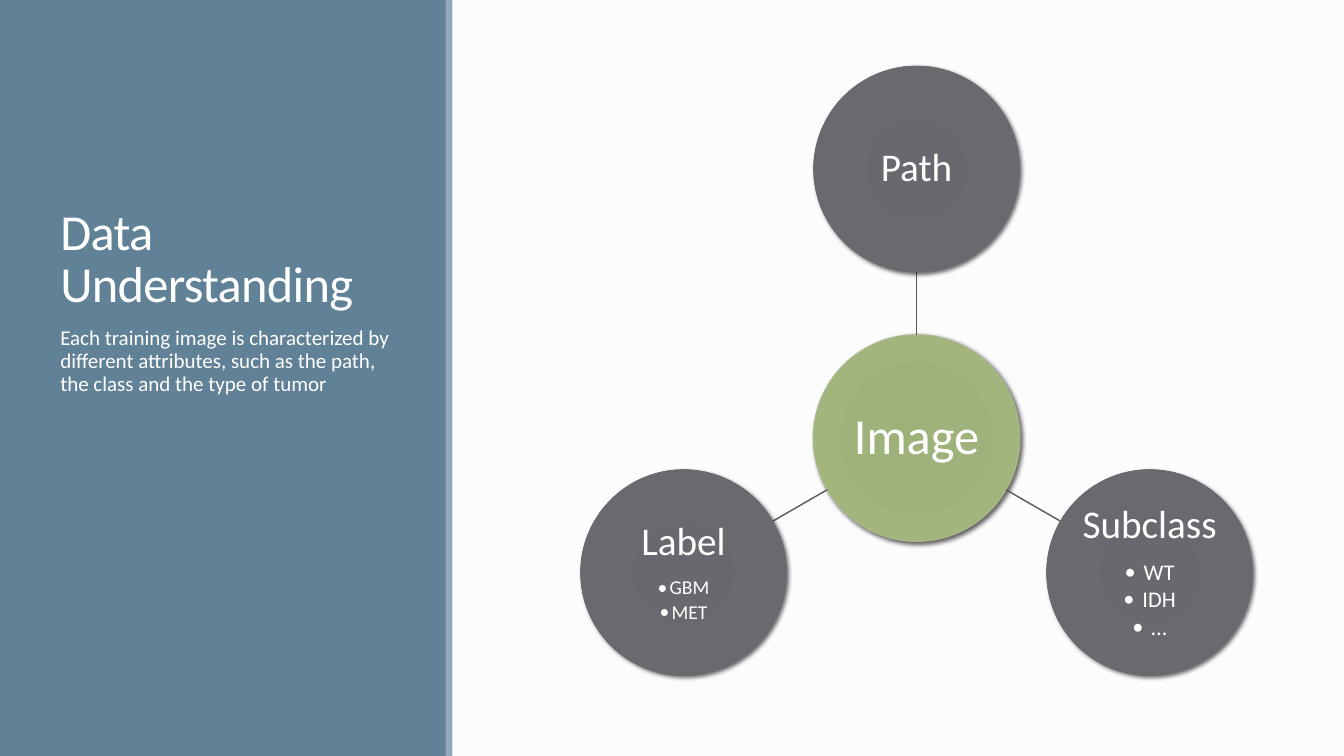
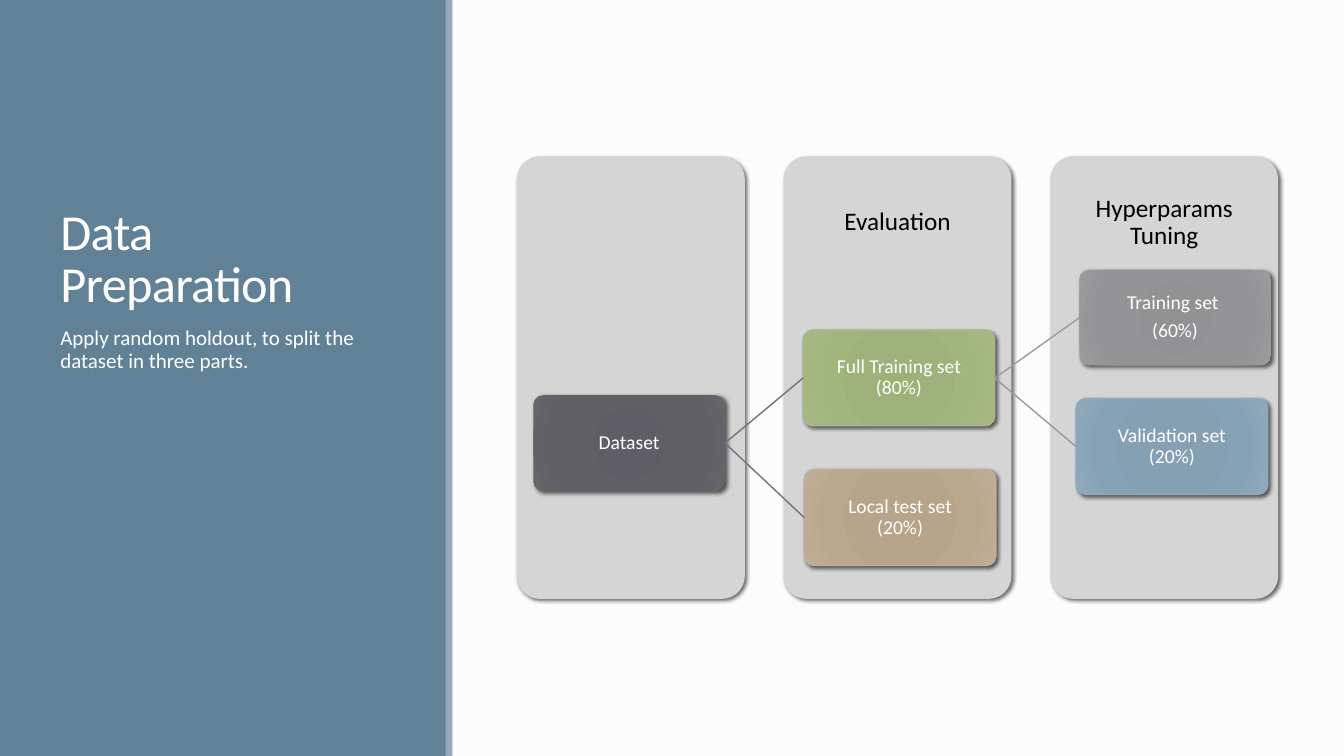
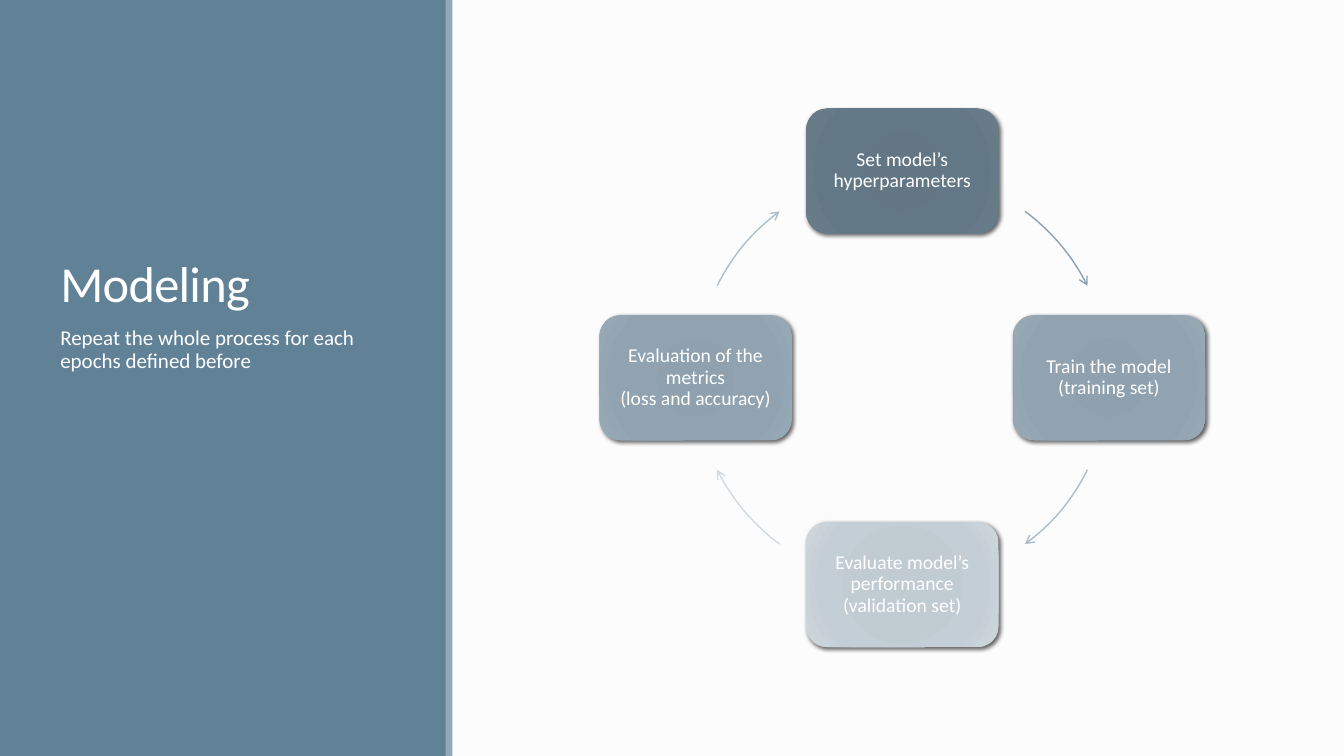
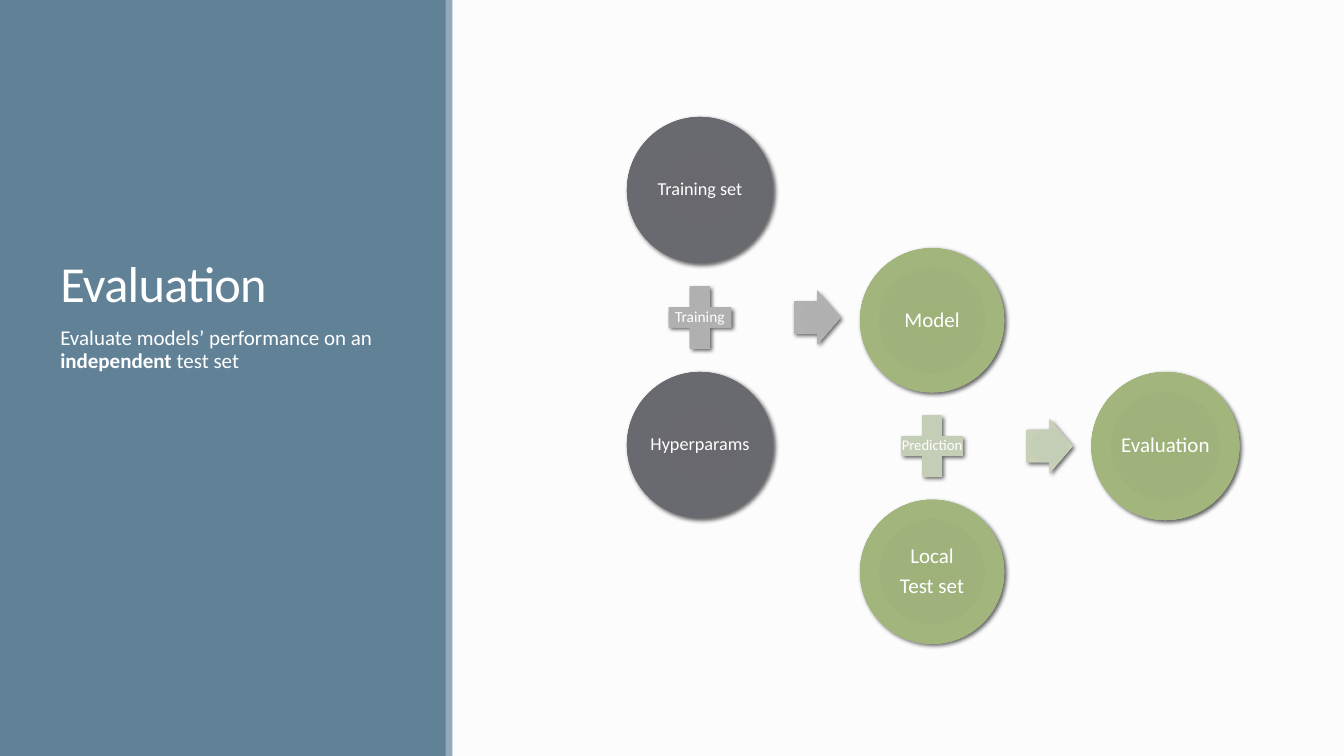
"""Build four slides on the steps of an image classification project."""
import math
import copy
import pptx
import pptx.util
import pptx.dml.color
import pptx.enum.shapes
import pptx.enum.text
import pptx.oxml.ns
from lxml import etree

INTRO = [
    ("Data Understanding", "Each training image is characterized by different attributes, "
                           "such as the path, the class and the type of tumor"),
    ("Data Preparation", "Apply random holdout, to split the dataset in three parts."),
    ("Modeling", "Repeat the whole process for each epochs defined before"),
    ("Evaluation", "Evaluate models’ performance on an *independent* test set"),
]
SPOKES = [
    ("Path", [], 0, 0),
    ("Subclass", ["WT", "IDH", "…"], 16, 0.48),
    ("Label", ["GBM", "MET"], 14, 0.3),
]
PANELS = ["", "Evaluation", "Hyperparams Tuning"]
BOXES = {
    "data": (["Dataset"], 13.44, 9.96, "coal", None),
    "full": (["Full Training set\n(80%)"], 20.24, 8.32, "green", "green"),
    "test": (["Local test set\n(20%)"], 20.27, 11.84, "sand", "sand"),
    "train": (["Training set ", "(60%)"], 27.2, 6.8, "grey", None),
    "valid": (["Validation set\n(20%)"], 27.12, 10.05, "blue", "blue"),
}
LINKS = [("data", "full", "dark"), ("data", "test", "dark"),
         ("full", "train", "mid"), ("full", "valid", "mid")]
CYCLE = [
    ("Set model’s hyperparameters", "deep", "arc1"),
    ("Train the model\n(training set)", "steel", "arc2"),
    ("Evaluate model’s performance\n(validation set)", "pale", "arc3"),
    ("Evaluation of the metrics\n(loss and accuracy)", "steel", "arc2"),
]
SUMS = [
    (17.64, 8, 3.68, ["Training set"], "Training", ["Hyperparams"], 13, 11, "slate", "ash"),
    (23.49, 11.24, 3.63, ["Model"], "Prediction", ["Local", "Test set"], 15, 10.5,
     "green", "mint"),
]
RESULT = ("Evaluation", 29.37, 11.24, 3.73)


class Theme:
    """Colours, type sizes and font of the deck."""
    font = "Calibri"
    title, body, hub, spoke, head, label, result = 36, 15, 36, 28, 18, 14, 15
    flat = {"page": "FCFCFC", "side": "618197", "strip": "92A9B9", "panel": "D5D5D6",
            "white": "FFFFFF", "black": "000000"}
    line = {"spoke": "59595D", "dark": "727277", "mid": "9B9B9E", "green": "A7B789",
            "sand": "BEAE98", "blue": "92A9B9", "arc1": "8BA1B1", "arc2": "AFBDC8",
            "arc3": "D2DAE0"}
    stops = (0, 34, 70, 100)
    blend = {
        "green": ("9EB179", "9FB27C", "A2B57C", "A8B987"),
        "slate": ("67676D", "68686E", "696970", "6F6F74"),
        "coal": ("5D5D63", "5E5E64", "606065", "65656A"),
        "blue": ("839EB2", "85A0B3", "86A2B6", "90A9BB"),
        "grey": ("909093", "929295", "949497", "9B9B9E"),
        "sand": ("B6A388", "B7A48B", "BBA78C", "C0AE96"),
        "deep": ("617584", "627684", "637887", "6B7D8A"),
        "steel": ("8D9FAC", "8FA1AE", "91A3B1", "9AABB7"),
        "pale": ("BFC9D1", "C1CBD2", "C4CED6", "CED7DE"),
        "mint": ("C3CCB4", "C4CDB6", "C8D1B8", "D0D9C3"),
        "ash": ("AEAEB0", "B0B0B1", "B2B2B4", "BBBBBC"),
    }


Cm, Pt = pptx.util.Cm, pptx.util.Pt
KIND = pptx.enum.shapes.MSO_SHAPE
STRAIGHT = pptx.enum.shapes.MSO_CONNECTOR.STRAIGHT
ALIGN = pptx.enum.text.PP_ALIGN
ANCHOR = pptx.enum.text.MSO_ANCHOR
qn = pptx.oxml.ns.qn
rgb = pptx.dml.color.RGBColor.from_string


def node(parent, tag, **attrs):
    item = etree.SubElement(parent, qn("a:" + tag))
    for key, value in attrs.items():
        item.set(key, str(value))
    return item


def say(shape, paras, size=Theme.label, color="white", align=ALIGN.CENTER,
        anchor=ANCHOR.MIDDLE, inset=(0.05, 0.05), space=0.9, after=0.35, track=0,
        bullet=0, wrap=True):
    frame = shape.text_frame
    frame.word_wrap, frame.vertical_anchor = wrap, anchor
    frame.auto_size = pptx.enum.text.MSO_AUTO_SIZE.NONE
    frame.margin_left = frame.margin_right = Cm(inset[0])
    frame.margin_top = frame.margin_bottom = Cm(inset[1])
    for text in paras:
        para = frame.add_paragraph() if frame.text else frame.paragraphs[0]
        para.alignment, para.line_spacing = align, space
        para.space_after = Pt(round(size * after, 1))
        if bullet:
            para.level = 1
            props = para._p.get_or_add_pPr()
            props.set("marL", str(Cm(bullet)))
            props.set("indent", str(-Cm(bullet)))
            node(props, "buFont", typeface=Theme.font)
            node(props, "buChar", char="•")
        for i, part in enumerate(text.split("*")):
            for j, row in enumerate(part.split("\n")):
                if j:
                    para.add_line_break()
                run = para.add_run()
                run.text = row
                font = run.font
                font.name, font.size, font.bold = Theme.font, Pt(size), i % 2 == 1
                font.color.rgb = rgb(Theme.flat[color])
                if track:
                    run._r.get_or_add_rPr().set("spc", str(track))
        for gap in para._p.findall(qn("a:br")):
            gap.append(copy.deepcopy(para.runs[0]._r.rPr))


def draw(slide, kind, x, y, wide, high, fill, edge=None, shade=True, adjust=()):
    shape = slide.shapes.add_shape(kind, Cm(x), Cm(y), Cm(wide), Cm(high))
    for i, value in enumerate(adjust):
        shape.adjustments[i] = value
    props = shape.element.spPr
    if fill in Theme.blend:
        shape.fill.gradient()
        grad = props.find(qn("a:gradFill"))
        grad.clear()
        grad.set("rotWithShape", "1")
        stops = node(grad, "gsLst")
        for stop, color in zip(Theme.stops, Theme.blend[fill]):
            node(node(stops, "gs", pos=stop * 1000), "srgbClr", val=color)
        node(node(grad, "path", path="circle"), "fillToRect",
             l=100000, t=100000, r=100000, b=100000)
    elif fill:
        shape.fill.solid()
        shape.fill.fore_color.rgb = rgb(Theme.flat[fill])
    else:
        shape.fill.background()
    if edge:
        ink(shape, edge)
    else:
        shape.line.fill.background()
    shape.shadow.inherit = False
    if shade:
        cast = node(props.find(qn("a:effectLst")), "outerShdw", blurRad=Pt(3), dist=Pt(2),
                    dir=45 * 60000, algn="ctr", rotWithShape=0)
        node(node(cast, "srgbClr", val=Theme.flat["black"]), "alpha", val=60000)
    return shape


def mid(slide, kind, x, y, wide, high, fill, **style):
    return draw(slide, kind, x - wide / 2, y - high / 2, wide, high, fill, **style)


def ink(shape, color):
    shape.line.color.rgb = rgb(Theme.line[color])
    shape.line.width = Pt(1)


def join(slide, color, start=(0, 0), end=(0, 0)):
    link = slide.shapes.add_connector(STRAIGHT, *map(Cm, start + end))
    ink(link, color)
    node(link.element.spPr, "effectLst")
    return link


def polar(x, y, far, angle):
    turn = math.radians(angle)
    return x + far * math.cos(turn), y - far * math.sin(turn)


def dress(deck, layout, slide):
    fill = deck.slide_master.background.fill
    fill.solid()
    fill.fore_color.rgb = rgb(Theme.flat["page"])
    for item in list(layout.placeholders):
        if item.placeholder_format.idx:
            item.element.getparent().remove(item.element)
        else:
            item.left, item.top, item.width, item.height = map(Cm, (1.27, 1.65, 8.89, 6.35))
    bands = [(0, 11.25, "side"), (11.23, 0.17, "strip")]
    for i, (x, wide, color) in enumerate(bands):
        band = draw(slide, KIND.RECTANGLE, x, 0, wide, 19.05, color, shade=False)
        layout.shapes.element.insert(2 + i, band.element)


def intro(slide, title, text):
    left = dict(align=ALIGN.LEFT, inset=(0.25, 0.13))
    say(slide.shapes.title, [title], size=Theme.title, anchor=ANCHOR.BOTTOM, space=0.85,
        after=0, track=-50, **left)
    note = slide.shapes.add_textbox(Cm(1.27), Cm(8.13), Cm(8.89), Cm(9.4))
    say(note, [text], size=Theme.body, anchor=ANCHOR.TOP, after=0.13, **left)


def star(slide):
    x, y, size, far = 23.1, 11.04, 5.2, 6.78
    hub = mid(slide, KIND.OVAL, x, y, size, size, "green", edge="green")
    say(hub, ["Image"], size=Theme.hub)
    for i, (name, items, small, indent) in enumerate(SPOKES):
        angle = 90 - 120 * i
        join(slide, "spoke", polar(x, y, size / 2, angle), polar(x, y, far - size / 2, angle))
        disc = mid(slide, KIND.OVAL, *polar(x, y, far, angle), size, size, "slate")
        say(disc, [name], size=Theme.spoke)
        say(disc, items, size=small, after=0.15, bullet=indent)


def split(slide):
    left, pitch, top, wide, high = 13.03, 6.72, 3.94, 5.74, 11.15
    for i, name in enumerate(PANELS):
        x = left + i * pitch
        draw(slide, KIND.ROUNDED_RECTANGLE, x, top, wide, high, "panel", adjust=[0.1])
        if name:
            head = slide.shapes.add_textbox(Cm(x), Cm(top), Cm(wide), Cm(0.3 * high))
            say(head, [name], size=Theme.head, color="black", inset=(0.36, 0.36))
    made = {}
    for key, (paras, x, y, fill, edge) in BOXES.items():
        made[key] = draw(slide, KIND.ROUNDED_RECTANGLE, x, y, 4.83, 2.41, fill, edge=edge,
                         adjust=[0.1])
        say(made[key], paras)
    for start, end, color in LINKS:
        link = join(slide, color)
        link.begin_connect(made[start], 3)
        link.end_connect(made[end], 1)


def cycle(slide):
    x, y, far, sweep = 22.74, 9.52, 5.21, 27.2
    for i, (text, fill, color) in enumerate(CYCLE):
        angle = 90 - 90 * i
        box = mid(slide, KIND.ROUNDED_RECTANGLE, *polar(x, y, far, angle), 4.85, 3.15, fill)
        say(box, [text], inset=(0.15, 0.15))
        start = (26.4 if i % 2 else 36.4) - angle
        turns = [turn % 360 * 0.6 for turn in (start, start + sweep)]
        arc = mid(slide, KIND.ARC, x, y, 2 * far, 2 * far, None, edge=color, shade=False,
                  adjust=turns)
        node(arc.line._get_or_add_ln(), "tailEnd", type="arrow")


def total(slide):
    for x, y, size, upper, sign, lower, big, small, fill, tint in SUMS:
        for paras, side in ((upper, -1), (lower, 1)):
            disc = mid(slide, KIND.OVAL, x, y + side * 0.873 * size, size, size, fill)
            say(disc, paras, size=big)
        plus = mid(slide, KIND.MATH_PLUS, x, y, 0.58 * size, 0.58 * size, tint)
        say(plus, [sign], size=small, inset=(0, 0), wrap=False)
        mid(slide, KIND.RIGHT_ARROW, x + 2.96, y, 1.17, 1.36, tint, adjust=[0.6, 0.5])
    name, x, y, size = RESULT
    say(mid(slide, KIND.OVAL, x, y, size, size, "green"), [name], size=Theme.result)


def main():
    deck = pptx.Presentation()
    deck.slide_width, deck.slide_height = Cm(33.87), Cm(19.05)
    layout = deck.slide_layouts[5]
    for i, (words, chart) in enumerate(zip(INTRO, (star, split, cycle, total))):
        slide = deck.slides.add_slide(layout)
        if i == 0:
            dress(deck, layout, slide)
        intro(slide, *words)
        chart(slide)
    deck.save("out.pptx")


if __name__ == "__main__":
    main()
